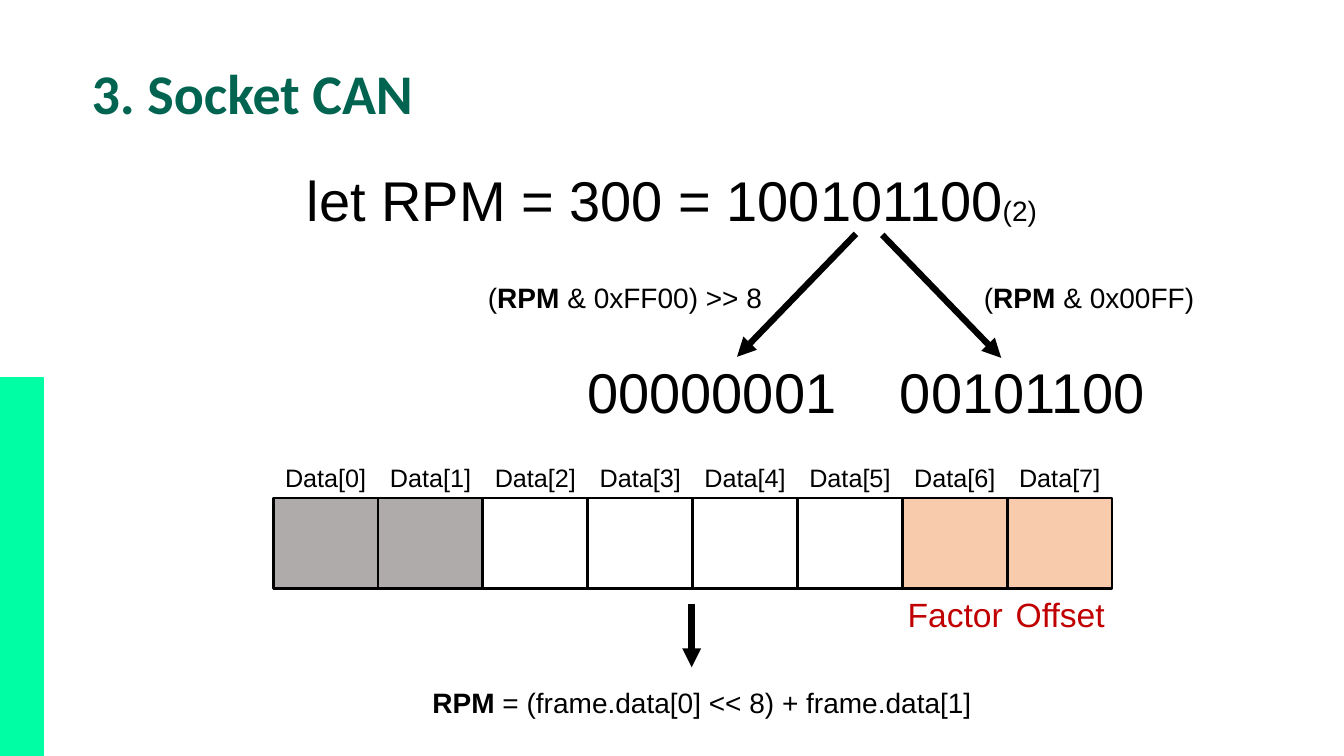
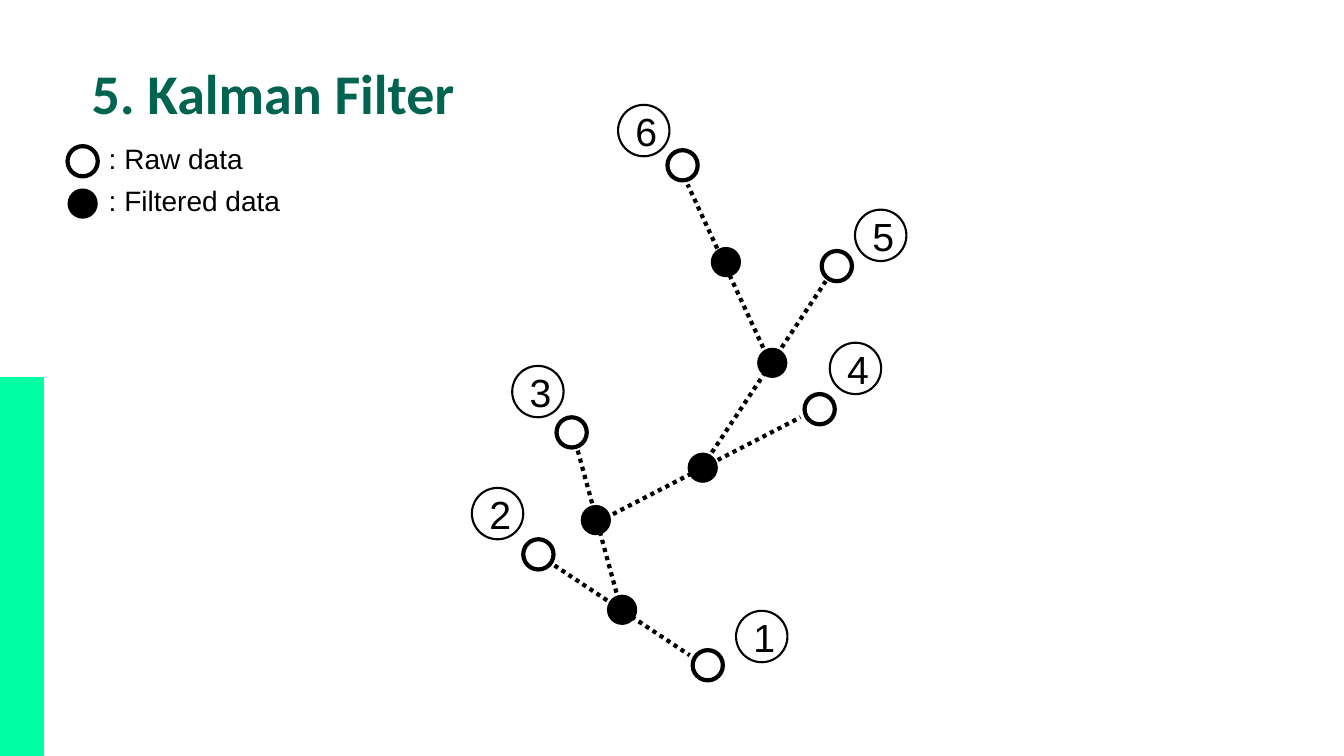
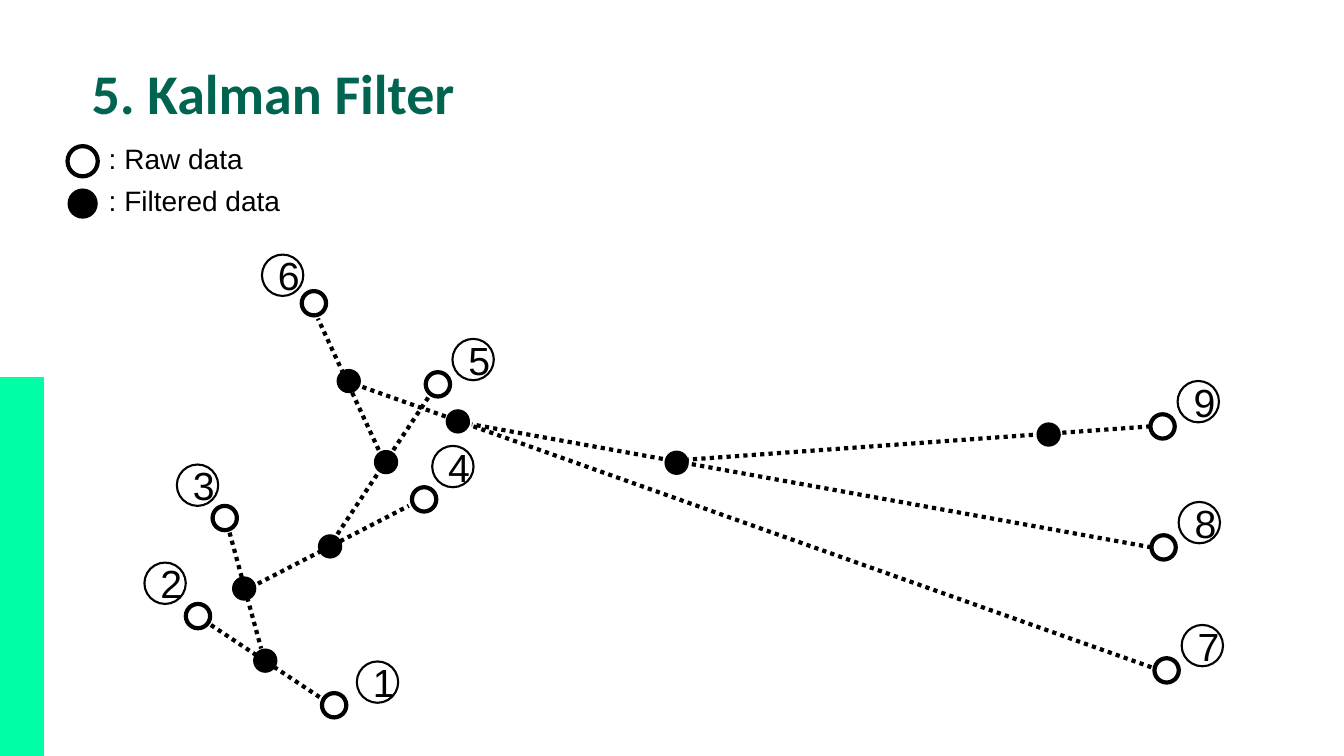
from lxml import etree
from pptx import Presentation
from pptx.dml.color import RGBColor
from pptx.enum import dml, shapes, text
from pptx.oxml import ns
from pptx.util import Inches, Pt

# Shared look
BLACK, WHITE = "000000", "FFFFFF"
BAND, TITLE = "00FFA5", "006451"
GREY, PEACH, RED = "AFABAB", "F8CBAD", "C00000"
DOT, BADGE = 0.3, 0.51
CENTER = text.PP_ALIGN.CENTER

# Filter steps: number, raw dot, number badge, dotted line, filtered dot
FIRST_STEPS = [
    (1, (6.87, 6.45), (7.3, 6.06), None, None),
    (2, (5.19, 5.35), (4.68, 4.84), ((5.5, 5.61), (6.84, 6.5)), (6.02, 5.9)),
    (3, (5.52, 4.14), (5.08, 3.63), ((5.73, 4.47), (6.12, 5.9)), (5.76, 5.01)),
    (4, (7.98, 3.91), (8.23, 3.4), ((6.08, 5.1), (7.94, 4.14)), (6.82, 4.49)),
    (5, (8.15, 2.49), (8.48, 2.08), ((7.06, 4.49), (8.19, 2.79)), (7.51, 3.45)),
    (6, (6.62, 1.49), (6.13, 1.04), ((7.57, 3.45), (6.82, 1.83)), (7.05, 2.45)),
]
LATER_STEPS = [
    (7, (11.45, 6.53), (11.72, 6.2), ((11.42, 6.62), (3.57, 3.83)), (4.42, 4.06)),
    (8, (11.42, 5.31), (11.69, 4.98), ((11.42, 5.43), (4.68, 4.21)), (6.59, 4.47)),
    (9, (11.41, 4.11), (11.68, 3.78), ((11.41, 4.23), (6.82, 4.56)), (10.28, 4.19)),
]
SMALL = 0.804


def color(value):
    return RGBColor.from_string(value)


def write(paragraph, content, size, ink=BLACK, font="Arial", bold=False):
    run = paragraph.add_run()
    run.text = content
    run.font.name, run.font.size, run.font.bold = font, Pt(size), bold
    run.font.color.rgb = color(ink)


def add_text(slide, left, top, width, height, content, size, align=None, **style):
    """content is a string or a list of (string, overriding format) pairs."""
    box = slide.shapes.add_textbox(*map(Inches, (left, top, width, height)))
    frame = box.text_frame
    frame.word_wrap = True
    frame.auto_size = text.MSO_AUTO_SIZE.SHAPE_TO_FIT_TEXT
    paragraph = frame.paragraphs[0]
    paragraph.alignment = align
    runs = [(content, {})] if isinstance(content, str) else content
    for words, changes in runs:
        write(paragraph, words, **{"size": size, **style, **changes})


def add_block(slide, kind, left, top, width, height, fill, line=None, weight=1):
    shape = slide.shapes.add_shape(kind, *map(Inches, (left, top, width, height)))
    shape.shadow.inherit = False
    shape.fill.solid()
    shape.fill.fore_color.rgb = color(fill)
    if line:
        shape.line.color.rgb = color(line)
        shape.line.width = Pt(weight)
    else:
        shape.line.fill.background()
    return shape


def add_rectangle(slide, *args, **options):
    return add_block(slide, shapes.MSO_SHAPE.RECTANGLE, *args, **options)


def add_circle(slide, corner, size, *args, **options):
    return add_block(slide, shapes.MSO_SHAPE.OVAL, *corner, size, size, *args, **options)


def add_raw_dot(slide, corner, size=DOT):
    add_circle(slide, corner, size, WHITE, line=BLACK, weight=3)


def add_filtered_dot(slide, corner, size=DOT):
    add_circle(slide, corner, size, BLACK)


def add_line(slide, start, end, weight, dotted=False, arrow=False):
    connector = slide.shapes.add_connector(
        shapes.MSO_CONNECTOR.STRAIGHT, *map(Inches, (*start, *end)))
    connector.line.color.rgb = color(BLACK)
    connector.line.width = Pt(weight)
    if dotted:
        connector.line.dash_style = dml.MSO_LINE.ROUND_DOT
    if arrow:
        etree.SubElement(connector.line._ln, ns.qn("a:tailEnd"), type="triangle")
    etree.SubElement(connector._element.spPr, ns.qn("a:effectLst"))


def add_slide(presentation, title):
    slide = presentation.slides.add_slide(presentation.slide_layouts[6])
    add_rectangle(slide, 0, 3.75, 0.43, 3.75, BAND, line=BAND)
    add_text(slide, 0.81, 0.53, 8.47, 0.77, title, 40,
             ink=TITLE, font="Calibri", bold=True)
    return slide


def add_legend(slide):
    add_raw_dot(slide, (0.67, 1.45))
    add_filtered_dot(slide, (0.67, 1.87))
    add_text(slide, 0.98, 1.35, 1.65, 0.44, ": Raw data", 20)
    add_text(slide, 0.98, 1.77, 2.32, 0.44, ": Filtered data", 20)


def add_steps(slide, steps, size=1, place=lambda point: point):
    """Draw filter steps; size scales the circles, place maps each point."""
    for number, raw, badge, line, filtered in steps:
        add_raw_dot(slide, place(raw), DOT * size)
        circle = add_circle(slide, place(badge), BADGE * size, WHITE,
                            line=BLACK, weight=1.5)
        paragraph = circle.text_frame.paragraphs[0]
        paragraph.alignment = CENTER
        write(paragraph, str(number), 28)
        if line:
            add_line(slide, *map(place, line), 3, dotted=True)
            add_filtered_dot(slide, place(filtered), DOT * size)


def shrink(point):
    return point[0] * SMALL - 2.33, point[1] * SMALL + 1.69


def build_socket_can(presentation):
    slide = add_slide(presentation, "3. Socket CAN")
    bold = {"bold": True}

    # Frame bytes with their labels
    left, cell = 2.71, 1.04
    for index, fill in enumerate([GREY] * 2 + [WHITE] * 4 + [PEACH] * 2):
        x = left + index * cell
        add_rectangle(slide, x, 4.94, cell, 0.9, fill, line=BLACK, weight=2)
        add_text(slide, x, 4.54, cell, 0.4, f"Data[{index}]", 18, CENTER)
    for index, name in ((6, "Factor"), (7, "Offset")):
        add_text(slide, left + index * cell - 0.09, 5.84, 1.23, 0.5, name, 24,
                 CENTER, ink=RED)

    # Value, its two bytes and the formulas
    add_text(slide, 2.15, 1.59, 9.03, 0.77,
             [("let RPM = 300 = 100101100", {}), ("(2)", {"size": 20})], 40, CENTER)
    for x, byte in ((5.66, "00000001"), (8.74, "00101100")):
        add_text(slide, x, 3.5, 2.8, 0.77, byte, 40, CENTER)
    for x, mask in ((4.74, " & 0xFF00) >> 8"), (9.66, " & 0x00FF)")):
        add_text(slide, x, 2.73, 4.07, 0.44,
                 [("(", {}), ("RPM", bold), (mask, {})], 20)
    add_text(slide, 4.19, 6.75, 5.87, 0.44,
             [("RPM", bold), (" = (frame.data[0] << 8) + frame.data[1]", {})], 20)

    # Arrows
    for start, end in (((8.49, 2.32), (7.31, 3.54)),
                       ((6.86, 5.99), (6.86, 6.62)),
                       ((8.75, 2.33), (9.93, 3.55))):
        add_line(slide, start, end, 4.5, arrow=True)


def build_kalman_start(presentation):
    slide = add_slide(presentation, "5. Kalman Filter")
    add_legend(slide)
    add_steps(slide, FIRST_STEPS)


def build_kalman_outliers(presentation):
    slide = add_slide(presentation, "5. Kalman Filter")
    add_legend(slide)
    add_steps(slide, LATER_STEPS, SMALL)
    add_steps(slide, FIRST_STEPS, SMALL, shrink)


def main():
    presentation = Presentation()
    presentation.slide_width = Inches(13.33)
    presentation.slide_height = Inches(7.5)
    build_socket_can(presentation)
    build_kalman_start(presentation)
    build_kalman_outliers(presentation)
    presentation.save("out.pptx")


if __name__ == "__main__":
    main()
